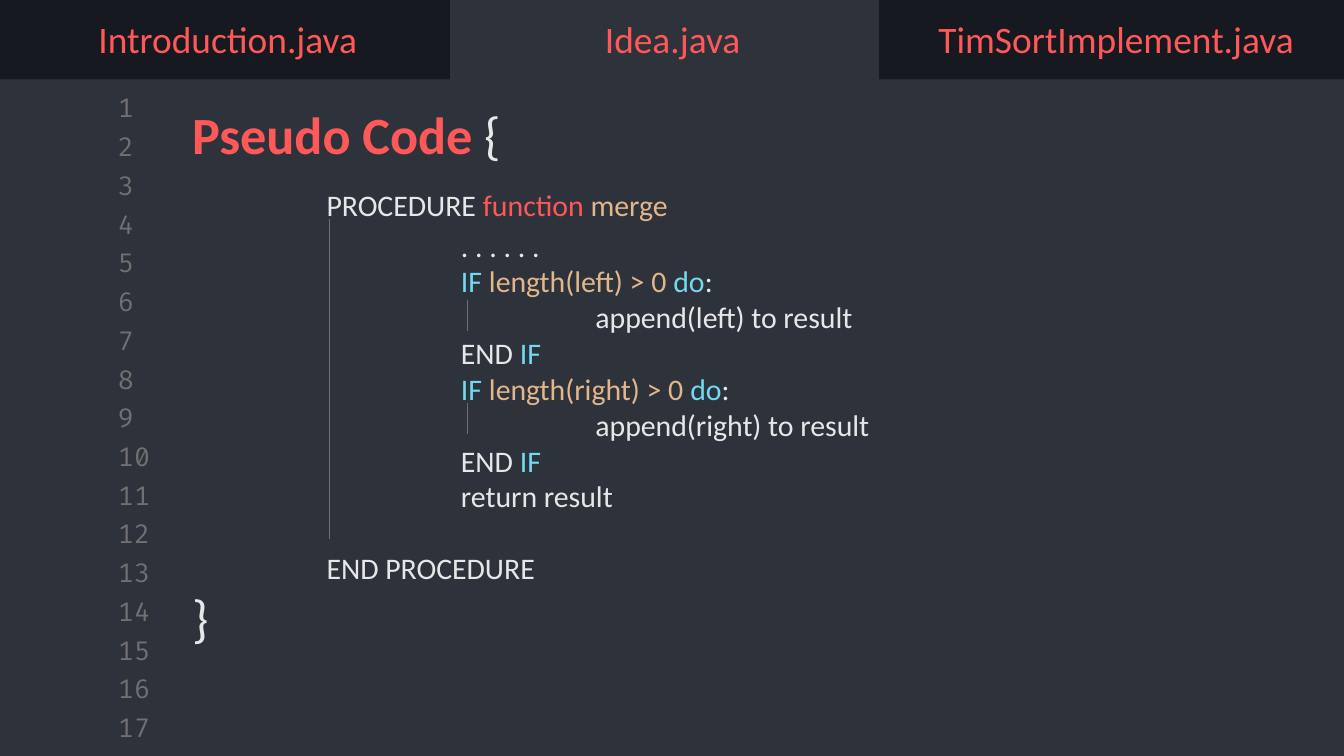
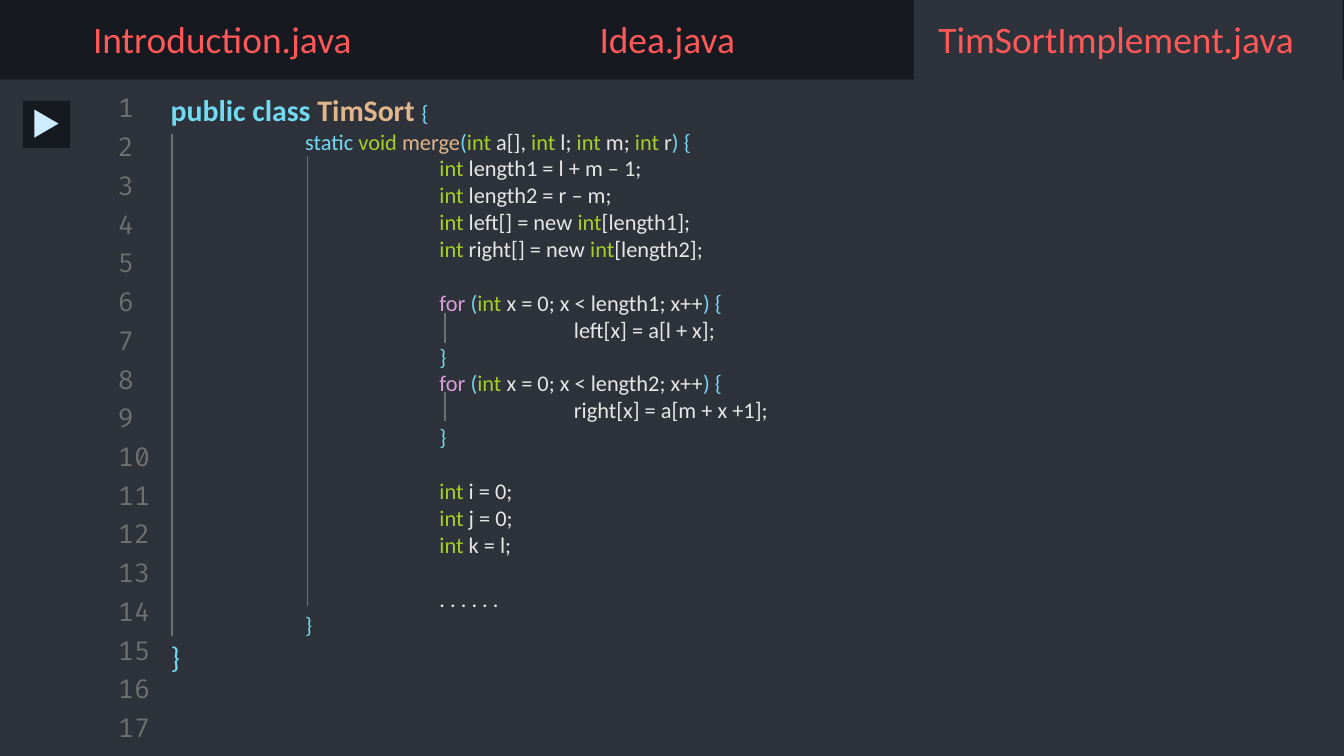
from typing import NamedTuple

from lxml.etree import SubElement
from pptx import Presentation
from pptx.dml.color import RGBColor
from pptx.enum.shapes import MSO_CONNECTOR, MSO_SHAPE
from pptx.enum.text import MSO_ANCHOR, MSO_AUTO_SIZE, PP_ALIGN
from pptx.oxml.ns import qn
from pptx.util import Inches, Pt

COLORS = {
    "dark": "16191F",
    "panel": "2E323B",
    "muted": "707070",
    "red": "FF5858",
    "plain": "E7E7E7",
    "name": "E2B68B",
    "keyword": "72D9F0",
    "type": "A5CF27",
    "loop": "DBA0DB",
    "play": "CCECFF",
}
FONT = "Calibri"
NUMBER_FONT = "Fira Code"
SLIDE_WIDTH = Inches(10)
SLIDE_HEIGHT = SLIDE_WIDTH * 9 // 16
TAB_HEIGHT = 0.57
LINE_COUNT = 17
FIRST_NUMBER, LAST_NUMBER = 0.68, 5.29
LINE_PITCH = (LAST_NUMBER - FIRST_NUMBER) / (LINE_COUNT - 1)


class Box(NamedTuple):
    left: float
    top: float
    width: float
    height: float


class Span(NamedTuple):
    text: str
    color: str = "plain"
    bold: bool = False
    size: float | None = None


class Line(NamedTuple):
    level: int
    spans: list[Span]
    size: float
    gap: float = 0


class Tab(NamedTuple):
    label: str
    left: float
    width: float = 3.31


class Guide(NamedTuple):
    x: float
    top: float
    bottom: float


class CodeSlide(NamedTuple):
    tabs: list[Tab]
    active_left: float
    title_box: Box
    title: Line
    body_box: Box
    body: list[Line]
    guides: list[Guide]


def rgb(color: str) -> RGBColor:
    return RGBColor.from_string(COLORS[color])


def place(shape, box: Box) -> None:
    shape.left, shape.top, shape.width, shape.height = map(Inches, box)


def add_block(s, kind: MSO_SHAPE, box: Box, color: str):
    sp = s.shapes.add_shape(kind, *map(Inches, box))
    sp.shadow.inherit = False
    sp.fill.solid()
    sp.fill.fore_color.rgb = rgb(color)
    sp.line.fill.background()
    return sp


def add_run(p, span: Span, size: float, font: str = FONT) -> None:
    r = p.add_run()
    r.text = span.text
    r.font.name = font
    r.font.size = Pt(span.size or size)
    r.font.bold = span.bold
    r.font.color.rgb = rgb(span.color)


def add_label(s, box: Box, span: Span, size: float, font: str = FONT, inset: float = 0.05):
    sp = s.shapes.add_textbox(*map(Inches, box))
    tf = sp.text_frame
    tf.word_wrap = True
    tf.vertical_anchor = MSO_ANCHOR.MIDDLE
    tf.margin_top = tf.margin_bottom = Inches(inset)
    add_run(tf.paragraphs[0], span, size, font)
    return sp


def add_guide(s, guide: Guide) -> None:
    x = Inches(guide.x)
    line = s.shapes.add_connector(
        MSO_CONNECTOR.STRAIGHT, x, Inches(guide.top), x, Inches(guide.bottom)
    )
    line.line.color.rgb = rgb("muted")
    line.line.width = Pt(0.75)
    SubElement(line._element.spPr, qn("a:effectLst"))


def fill_placeholder(sp, box: Box, lines: list[Line]) -> None:
    place(sp, box)
    tf = sp.text_frame
    tf.word_wrap = True
    tf.auto_size = MSO_AUTO_SIZE.NONE
    tf.vertical_anchor = MSO_ANCHOR.TOP
    tf.margin_left = tf.margin_right = Inches(0.1)
    tf.margin_top = tf.margin_bottom = 0
    for i, line in enumerate(lines):
        p = tf.paragraphs[0] if i == 0 else tf.add_paragraph()
        pPr = p._p.get_or_add_pPr()
        pPr.set("marL", str(Inches(line.level)))
        pPr.set("indent", "0")
        SubElement(pPr, qn("a:buNone"))
        p.alignment = PP_ALIGN.LEFT
        p.space_before = Pt(line.gap)
        for span in line.spans:
            add_run(p, span, line.size)


def build_layout(prs, layout, s) -> None:
    fill = prs.slide_master.background.fill
    fill.solid()
    fill.fore_color.rgb = rgb("dark")
    parts = [add_block(s, MSO_SHAPE.RECTANGLE, Box(0, 0.59, 10, 5.03), "panel")]
    parts[0].height = SLIDE_HEIGHT - parts[0].top
    for i in range(LINE_COUNT):
        box = Box(0.78, FIRST_NUMBER + i * LINE_PITCH, 0.47, 0.24)
        parts.append(add_label(s, box, Span(str(i + 1), "muted"), 14, NUMBER_FONT, 0.1))
    for number, part in enumerate(parts, 100):
        part._element.nvSpPr.cNvPr.set("id", str(number))
        layout.shapes._spTree.append(part._element)


def draw_slide(s, content: CodeSlide) -> None:
    add_block(s, MSO_SHAPE.RECTANGLE, Box(content.active_left, 0, 3.19, 0.75), "panel")
    for tab in content.tabs:
        box = Box(tab.left, 0, tab.width, TAB_HEIGHT)
        label = add_label(s, box, Span(tab.label, "red"), 20)
        label.text_frame.paragraphs[0].alignment = PP_ALIGN.CENTER
    fill_placeholder(s.shapes.title, content.title_box, [content.title])
    fill_placeholder(s.placeholders[1], content.body_box, content.body)
    for guide in content.guides:
        add_guide(s, guide)


def add_play_button(s) -> None:
    add_block(s, MSO_SHAPE.RECTANGLE, Box(0.17, 0.75, 0.35, 0.35), "dark")
    arrow = add_block(s, MSO_SHAPE.ISOSCELES_TRIANGLE, Box(0.24, 0.83, 0.21, 0.18), "play")
    arrow.rotation = 90


def file_tabs(first: float, second: float) -> list[Tab]:
    return [
        Tab("Introduction.java", first),
        Tab("Idea.java", second),
        Tab("TimSortImplement.java", 6.61, 3.39),
    ]


def pseudo(level: int, *spans: Span, gap: float = 0) -> Line:
    return Line(level, list(spans), 16, gap)


def code(level: int, *spans: Span, gap: float = 0) -> Line:
    return Line(level, list(spans), 12, gap)


def condition(side: str) -> list[Line]:
    return [
        pseudo(2, Span("IF ", "keyword"), Span(f"length({side}) > 0 ", "name"),
               Span("do", "keyword"), Span(":")),
        pseudo(3, Span(f"append({side}) to result")),
        pseudo(2, Span("END "), Span("IF", "keyword")),
    ]


def declare(rest: str, gap: float = 0) -> Line:
    return code(2, Span("int", "type"), Span(f" {rest}"), gap=gap)


def declare_array(side: str, length: str) -> Line:
    return code(2, Span("int", "type"), Span(f" {side}[] = new "),
                Span("int", "type"), Span(f"[{length}];"))


def copy_loop(length: str, statement: str, gap: float = 0) -> list[Line]:
    return [
        code(2, Span("for ", "loop"), Span("(", "keyword"), Span("int ", "type"),
             Span(f"x = 0; x < {length}; x++"), Span(") {", "keyword"), gap=gap),
        code(3, Span(statement)),
        code(2, Span("}", "keyword")),
    ]


PSEUDO_CODE = CodeSlide(
    tabs=file_tabs(0.04, 3.35),
    active_left=3.35,
    title_box=Box(1.33, 0.76, 8.48, 0.48),
    title=Line(0, [Span("Pseudo Code ", "red", True), Span("{")], 28),
    body_box=Box(1.33, 1.39, 8.48, 3.5),
    body=[
        pseudo(1, Span("PROCEDURE "), Span("function ", "red"), Span("merge", "name")),
        pseudo(2, Span(". . . . . ."), gap=2.5),
        *condition("left"),
        *condition("right"),
        pseudo(2, Span("return result")),
        pseudo(1, Span("END PROCEDURE"), gap=19.2),
        Line(0, [Span("}")], 28),
    ],
    guides=[Guide(2.45, 1.63, 4.01), Guide(3.48, 2.23, 2.46), Guide(3.48, 3, 3.23)],
)

BLANK_ROW = 14.4
TIM_SORT = CodeSlide(
    tabs=file_tabs(0, 3.31),
    active_left=6.8,
    title_box=Box(1.17, 0.68, 8.48, 0.27),
    title=Line(0, [Span("public class ", "keyword", True), Span("TimSort ", "name", True),
                   Span("{", "keyword", size=12)], 16),
    body_box=Box(1.17, 0.95, 8.48, 4.1),
    body=[
        code(1, Span("static ", "keyword"), Span("void ", "type"), Span("merge", "name"),
             Span("(", "keyword"), Span("int", "type"), Span(" a[], "),
             Span("int", "type"), Span(" l; "), Span("int", "type"), Span(" m; "),
             Span("int", "type"), Span(" r"), Span(") {", "keyword")),
        declare("length1 = l + m – 1;"),
        declare("length2 = r – m;"),
        declare_array("left", "length1"),
        declare_array("right", "length2"),
        *copy_loop("length1", "left[x] = a[l + x];", BLANK_ROW),
        *copy_loop("length2", "right[x] = a[m + x +1];"),
        declare("i = 0;", BLANK_ROW),
        declare("j = 0;"),
        declare("k = l;"),
        code(2, Span(". . . . . ."), gap=BLANK_ROW),
        code(1, Span("}", "keyword")),
        Line(0, [Span("}", "keyword")], 16),
    ],
    guides=[Guide(1.28, 1, 4.73), Guide(2.29, 1.16, 4.51),
            Guide(3.31, 2.33, 2.55), Guide(3.31, 2.92, 3.13)],
)


def main() -> None:
    prs = Presentation()
    prs.slide_width, prs.slide_height = SLIDE_WIDTH, SLIDE_HEIGHT
    layout = prs.slide_layouts[1]
    idea, implementation = (prs.slides.add_slide(layout) for _ in range(2))
    build_layout(prs, layout, idea)
    draw_slide(idea, PSEUDO_CODE)
    draw_slide(implementation, TIM_SORT)
    add_play_button(implementation)
    prs.save("out.pptx")


if __name__ == "__main__":
    main()
